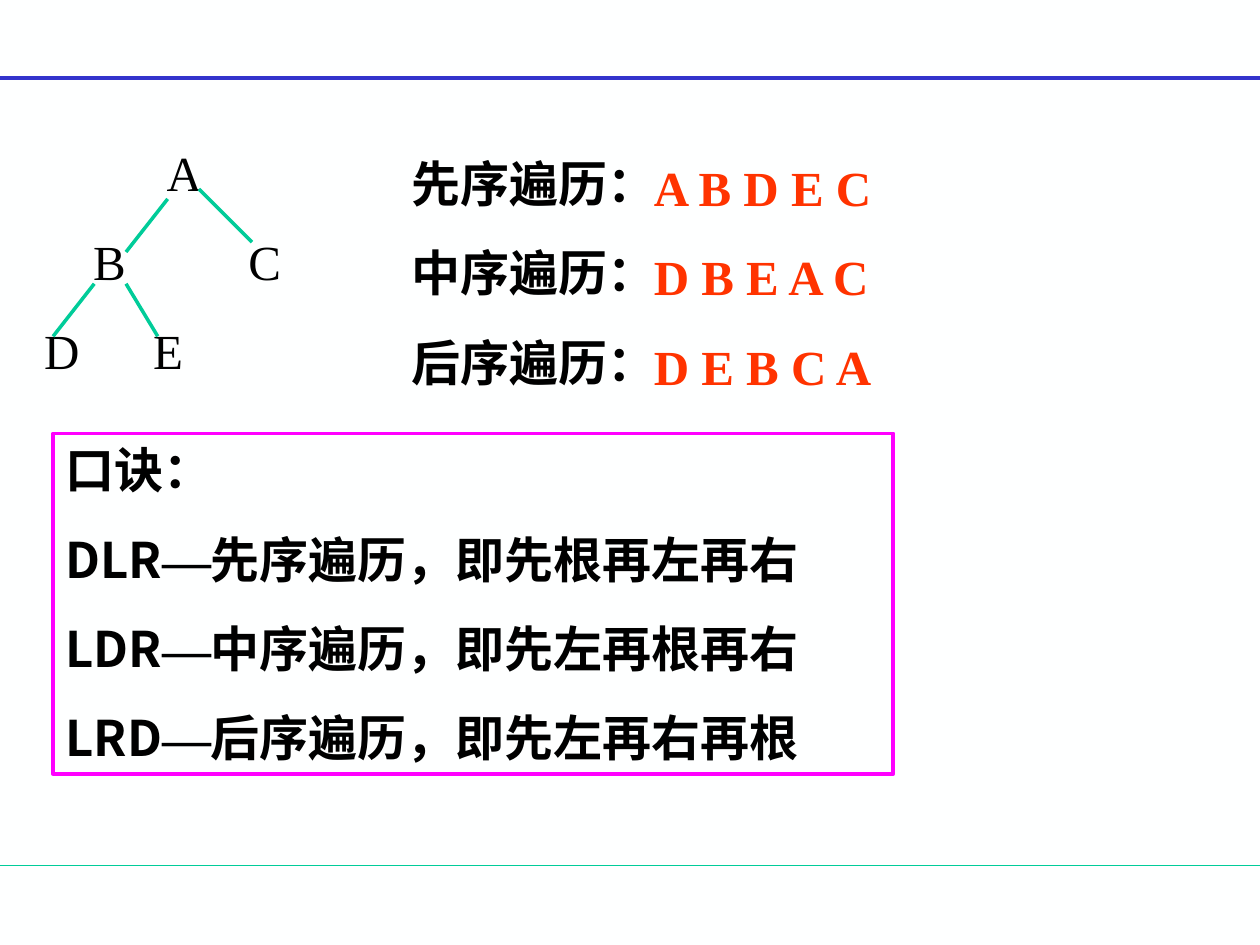
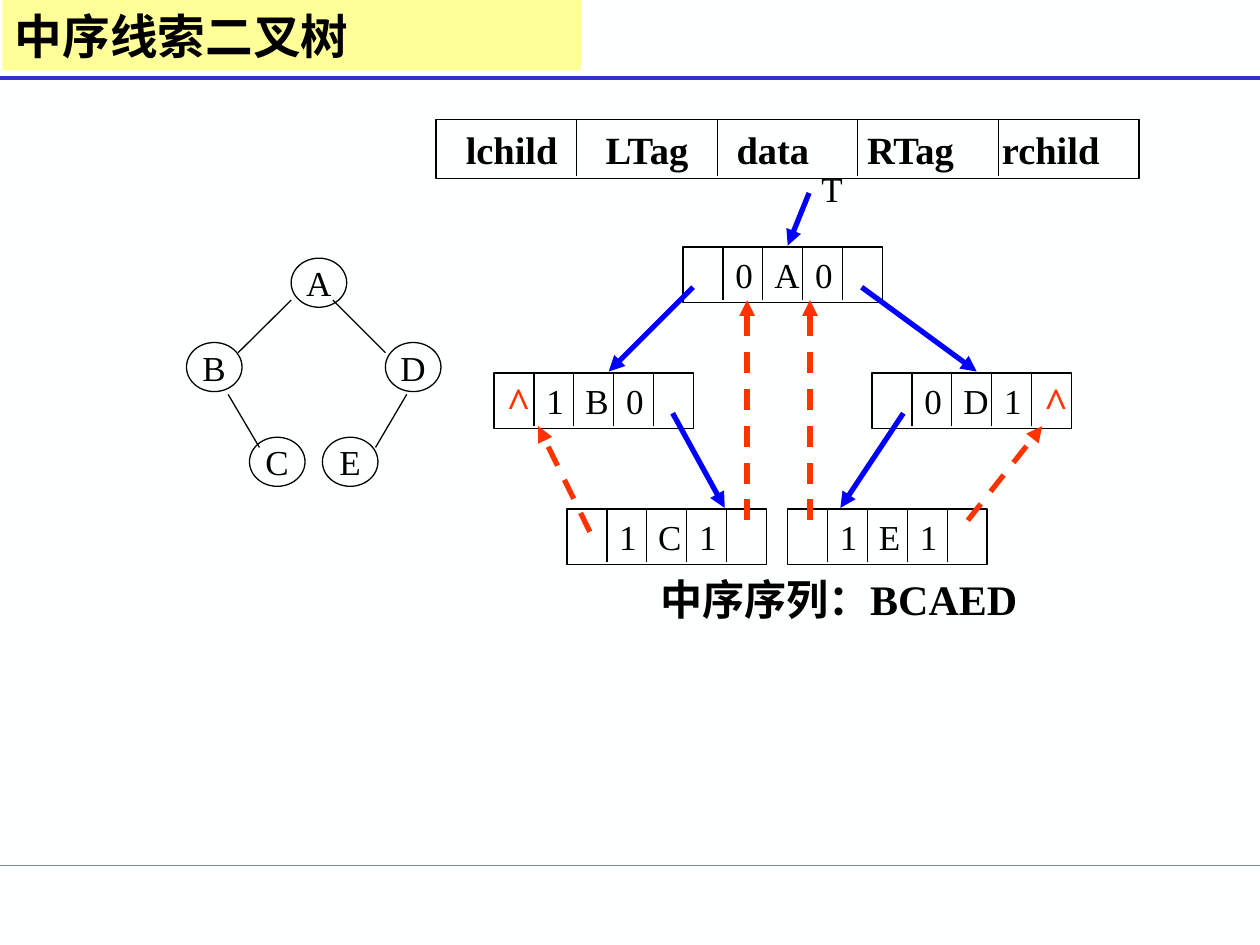
from lxml import etree
from pptx import Presentation
from pptx.dml.color import RGBColor
from pptx.enum.dml import MSO_LINE
from pptx.enum.shapes import MSO_CONNECTOR, MSO_SHAPE
from pptx.enum.text import MSO_ANCHOR, PP_ALIGN
from pptx.oxml.ns import qn
from pptx.util import Cm, Pt

RECT, OVAL = MSO_SHAPE.RECTANGLE, MSO_SHAPE.OVAL
STRAIGHT, DASH = MSO_CONNECTOR.STRAIGHT, MSO_LINE.DASH
TOP, MIDDLE = MSO_ANCHOR.TOP, MSO_ANCHOR.MIDDLE
LEFT, CENTER, JUSTIFY = PP_ALIGN.LEFT, PP_ALIGN.CENTER, PP_ALIGN.JUSTIFY

# Shared style
COLORS = {
    "paper": "FEFFFF", "ink": "000000", "rule": "3333CC", "green": "00CC99",
    "red": "FF3300", "frame": "FF00FF", "pointer": "0000FF", "title": "FFFF99",
}
SERIF, SANS = "Times New Roman", "Noto Sans CJK SC"
SLIDE_W, SLIDE_H = 25.4, 19.05
PARAGRAPH_GAP = 17.5
LINE_HEIGHT = 1.2  # times the text size

# Content of slide 1; lengths in cm, lines as x1, y1, x2, y2
ORDERS = ["先序遍历：", "中序遍历：", "后序遍历："]
RESULTS = ["A B D E C", "D B E A C", "D E B C A"]
TREE_LEVELS = [("\tA", [2.47]), ("\tB\tC", [0.99, 4.12]), ("D\tE", [2.2])]
TREE_EDGES = [
    (3.38, 4.01, 2.54, 5.08), (4.01, 3.81, 5.08, 4.88),
    (2.54, 5.72, 3.18, 6.78), (1.9, 5.72, 1.07, 6.78),
]
MNEMONICS = [
    ("DLR", "先序遍历，即先根再左再右"),
    ("LDR", "中序遍历，即先左再根再右"),
    ("LRD", "后序遍历，即先左再右再根"),
]

# Content of slide 2
TITLE = "中序线索二叉树"
FIELDS = "\tlchild\tLTag\tdata\tRTag\trchild"
FIELD_TABS = [0.35, 3.17, 5.81, 8.44, 11.16]
FIELD_BOX = (8.79, 2.41, 14.17, 1.19)
NODE_CENTERS = {
    "A": (6.43, 5.7), "B": (4.32, 7.4), "C": (5.59, 9.31),
    "D": (8.33, 7.4), "E": (7.06, 9.31),
}
NODE_W, NODE_H = 1.12, 0.99
NODE_EDGES = [
    (5.87, 6.05, 4.8, 7.11), (6.71, 6.05, 7.77, 7.11),
    (4.6, 7.95, 5.23, 9.02), (8.2, 7.95, 7.57, 9.02),
]
# left, top, then left link, left tag, data, right tag, right link
RECORDS = [
    (13.77, 4.98, ["", "0", "A", "0", ""]),
    (9.96, 7.52, ["^", "1", "B", "0", ""]),
    (17.58, 7.52, ["", "0", "D", "1", "^"]),
    (11.43, 10.26, ["", "1", "C", "1", ""]),
    (15.88, 10.26, ["", "1", "E", "1", ""]),
]
RECORD_W, RECORD_H, DATA_TAB = 4.02, 1.12, 1.59
POINTERS = [
    (16.31, 3.89, 15.88, 4.95),
    (13.97, 5.79, 12.27, 7.49), (17.37, 5.79, 19.69, 7.49),
    (13.56, 8.33, 14.61, 10.24), (18.21, 8.33, 16.94, 10.24),
]
THREADS = [
    (11.89, 10.72, 10.85, 8.59), (15.06, 10.49, 15.06, 6.05),
    (16.33, 10.49, 16.33, 6.05), (19.51, 10.49, 21.01, 8.59),
]
SEQUENCE = "中序序列：BCAED"


def rgb(name):
    return RGBColor.from_string(COLORS[name])


def add_text(slide, box, paragraphs, *, size=20, bold=False, color="ink",
             font=SERIF, align=LEFT, anchor=TOP, wrap=True, tabs=(),
             shape=None, fill=None, outline=None, outline_width=0.75):
    """A paragraph is a string, a list of (text, font) runs or (text, tabs)."""
    lengths = [Cm(value) for value in box]
    if shape is None:
        holder = slide.shapes.add_textbox(*lengths)
    else:
        holder = slide.shapes.add_shape(shape, *lengths)
        holder.shadow.inherit = False
        if fill:
            holder.fill.solid()
            holder.fill.fore_color.rgb = rgb(fill)
        else:
            holder.fill.background()
        if outline:
            holder.line.color.rgb = rgb(outline)
            holder.line.width = Pt(outline_width)
        else:
            holder.line.fill.background()

    frame = holder.text_frame
    frame.word_wrap = wrap
    frame.vertical_anchor = anchor
    for index, content in enumerate(paragraphs):
        stops = tabs
        if isinstance(content, tuple):
            content, stops = content
        paragraph = frame.add_paragraph() if index else frame.paragraphs[0]
        paragraph.alignment = align
        paragraph.line_spacing = Pt(LINE_HEIGHT * size)
        if index:
            paragraph.space_before = Pt(PARAGRAPH_GAP)
        if stops:
            tab_list = etree.SubElement(paragraph._p.get_or_add_pPr(), qn("a:tabLst"))
            for stop in stops:
                etree.SubElement(tab_list, qn("a:tab"), pos=str(Cm(stop)), algn="l")
        runs = [(content, font)] if isinstance(content, str) else content
        for words, typeface in runs:
            run = paragraph.add_run()
            run.text = words
            run.font.name = typeface
            run.font.size = Pt(size)
            run.font.bold = bold
            run.font.color.rgb = rgb(color)
            etree.SubElement(run._r.get_or_add_rPr(), qn("a:ea"), typeface=SANS)


def add_line(slide, ends, color="ink", width=0.75, dash=None, arrow=False):
    connector = slide.shapes.add_connector(STRAIGHT, *[Cm(value) for value in ends])
    connector.line.color.rgb = rgb(color)
    connector.line.width = Pt(width)
    if dash:
        connector.line.dash_style = dash
    properties = connector._element.spPr
    if arrow:
        etree.SubElement(properties.find(qn("a:ln")), qn("a:tailEnd"), type="triangle")
    etree.SubElement(properties, qn("a:effectLst"))


def add_record(slide, box, label, **text_format):
    """Draw a box of five equal cells with its label."""
    left, top, width, height = box
    add_text(slide, box, [label], shape=RECT, outline="ink", anchor=MIDDLE, **text_format)
    for cell in range(1, 5):
        x = left + cell * width / 5
        add_line(slide, (x, top, x, top + height - 0.05))


def new_slide(deck):
    slide = deck.slides.add_slide(deck.slide_layouts[6])
    slide.background.fill.solid()
    slide.background.fill.fore_color.rgb = rgb("paper")
    add_line(slide, (0, 17.45, SLIDE_W, 17.45), "green")
    add_line(slide, (0, 1.57, SLIDE_W, 1.57), "rule", 2.25)
    return slide


def build_traversals(deck):
    slide = new_slide(deck)
    add_text(slide, (8.05, 2.97, 5.66, 5.05), ORDERS, size=28, bold=True, align=JUSTIFY)

    # Tree
    add_text(slide, (0.64, 2.74, 6.99, 5.05), TREE_LEVELS, size=28)
    for edge in TREE_EDGES:
        add_line(slide, edge, "green", 2)

    add_text(slide, (12.93, 3.05, 5.08, 5.05), RESULTS, size=28, bold=True, color="red")

    # Framed mnemonic
    rules = [[(code, SANS), ("—", SERIF), (rule, SANS)] for code, rule in MNEMONICS]
    add_text(slide, (1.07, 8.74, 16.94, 6.86), ["口诀：", *rules], size=28, bold=True,
             font=SANS, shape=RECT, outline="frame", outline_width=2.25)


def build_threaded_tree(deck):
    slide = new_slide(deck)

    # Plain tree
    for letter, (x, y) in NODE_CENTERS.items():
        box = (x - NODE_W / 2, y - NODE_H / 2, NODE_W, NODE_H)
        add_text(slide, box, [letter], shape=OVAL, outline="ink", align=CENTER,
                 anchor=MIDDLE, wrap=False)
    for edge in NODE_EDGES:
        add_line(slide, edge)

    # Records with their tags and empty links
    for left, top, cells in RECORDS:
        add_record(slide, (left, top, RECORD_W, RECORD_H), "\t" + cells[2], tabs=[DATA_TAB])
        cell_w = RECORD_W / 5
        for index, value in enumerate(cells):
            if value and index != 2:
                null = value == "^"
                add_text(slide, (left + index * cell_w, top, cell_w, RECORD_H), [value],
                         size=24 if null else 20, bold=null, color="red" if null else "ink",
                         align=CENTER, anchor=MIDDLE, wrap=False)

    # Child pointers and threads
    for pointer in POINTERS:
        add_line(slide, pointer, "pointer", 3, arrow=True)
    for thread in THREADS:
        add_line(slide, thread, "red", 3, dash=DASH, arrow=True)
    add_text(slide, (16.31, 3.25, 0.94, 1.12), ["T"], wrap=False)
    add_text(slide, (13.06, 11.43, 7.9, 2.29), [SEQUENCE], size=24, bold=True, wrap=False)

    # Record layout and title
    add_record(slide, FIELD_BOX, FIELDS, size=22, bold=True, tabs=FIELD_TABS)
    add_text(slide, (0.05, 0, 11.66, 1.42), [TITLE], size=27.2, bold=True, font=SANS,
             anchor=MIDDLE, shape=RECT, fill="title")


def main():
    deck = Presentation()
    deck.slide_width, deck.slide_height = Cm(SLIDE_W), Cm(SLIDE_H)
    build_traversals(deck)
    build_threaded_tree(deck)
    deck.save("out.pptx")


if __name__ == "__main__":
    main()
